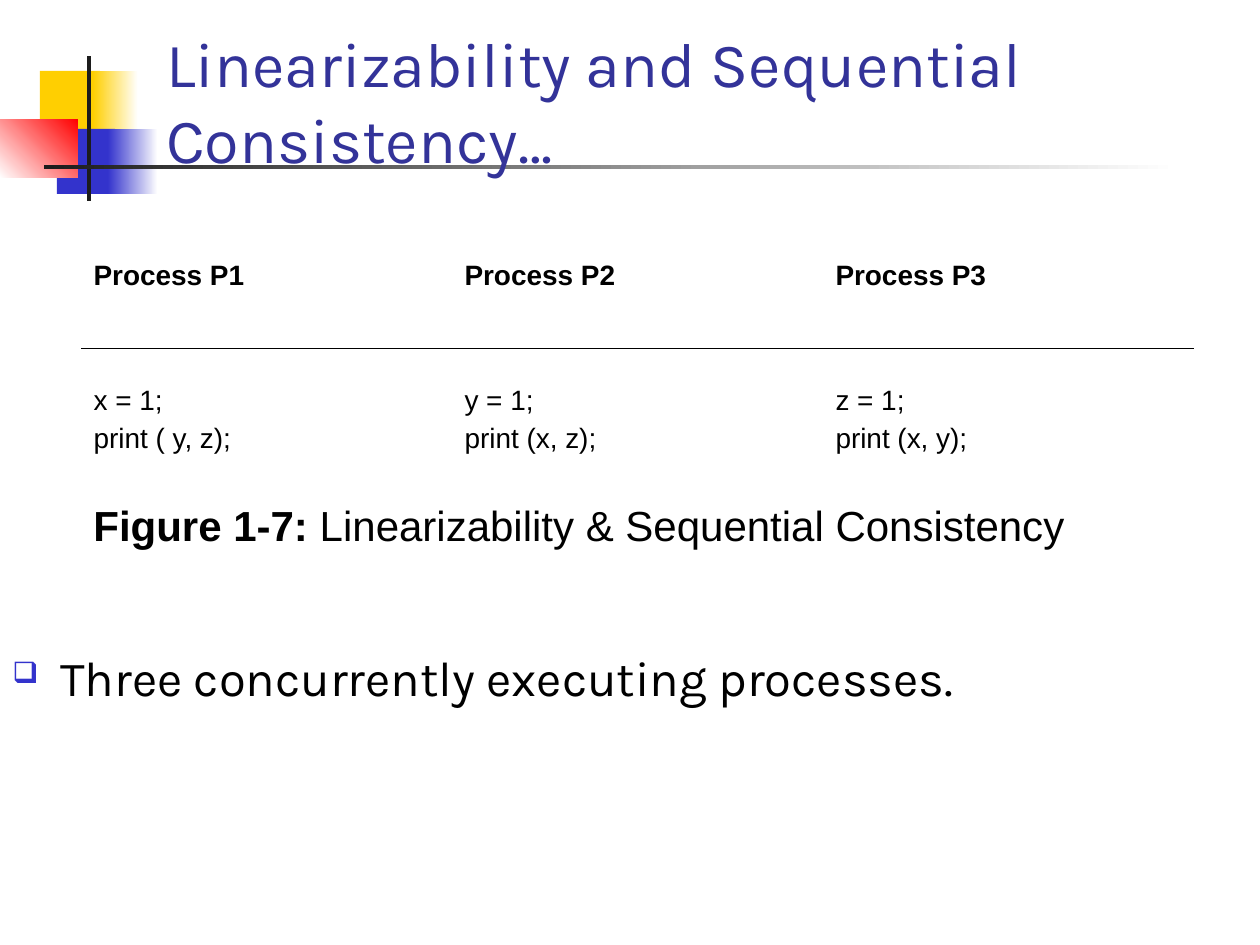
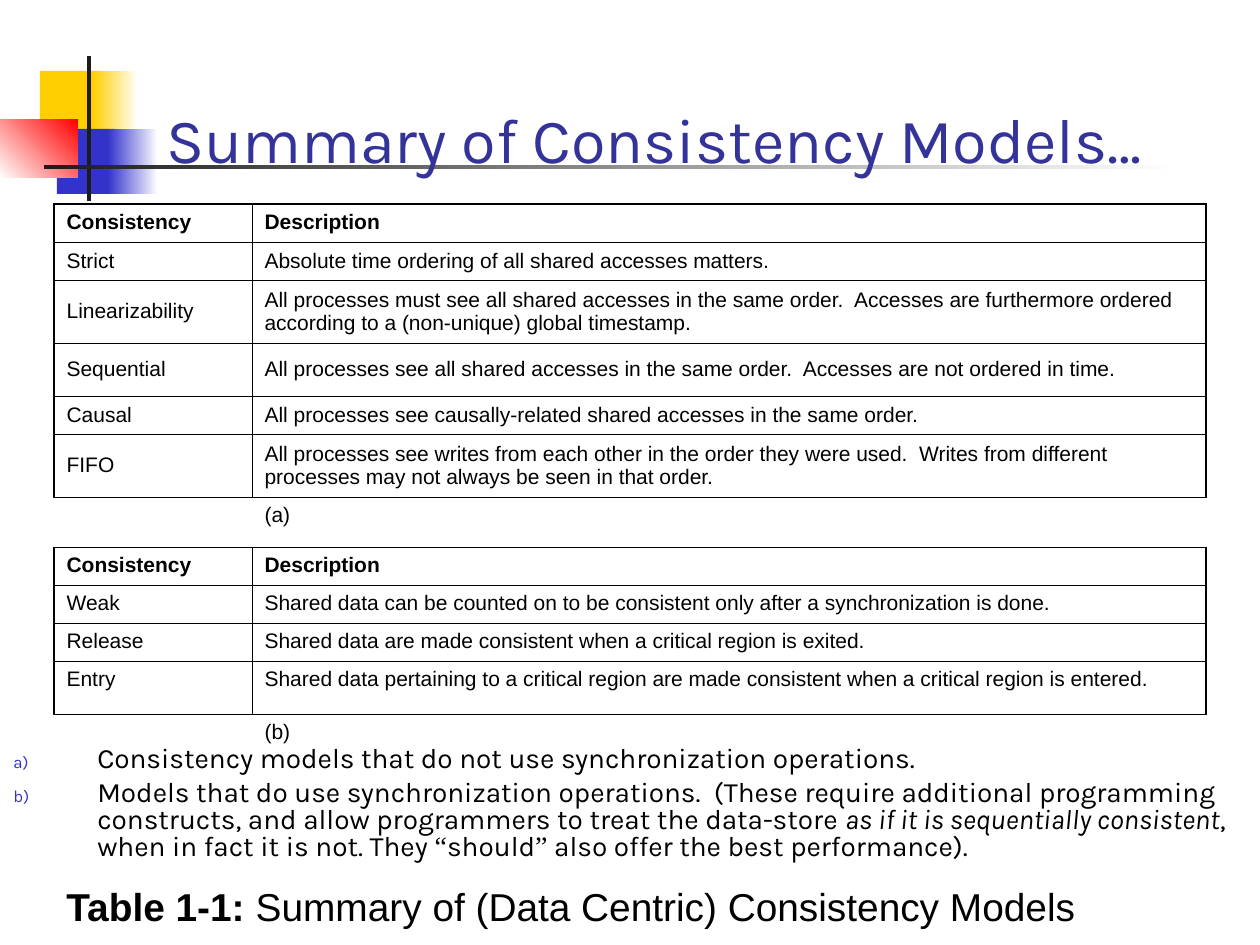
from lxml.etree import SubElement
from pptx import Presentation
from pptx.dml.color import RGBColor
from pptx.enum.shapes import MSO_SHAPE as SHAPE
from pptx.enum.text import MSO_ANCHOR as ANCHOR
from pptx.oxml import parse_xml
from pptx.oxml.ns import nsdecls, qn
from pptx.util import Pt

PX = 914400 / 126
WIDTH, HEIGHT = 1260, 945

BLACK = RGBColor(0, 0, 0)
WHITE = RGBColor(255, 255, 255)
YELLOW = RGBColor(0xFF, 0xCF, 0x01)
BLUE = RGBColor(0x33, 0x33, 0xCC)
RED = RGBColor(0xFF, 0, 0)
INK = RGBColor(0x1C, 0x1C, 0x1C)
TITLE_BLUE = RGBColor(0x33, 0x33, 0x99)

TITLE = dict(name="Karla", size=36, color=TITLE_BLUE)
BODY = dict(name="Karla", size=28, color=BLACK)
NOTE = dict(BODY, size=16)
CODE = dict(name="Arial", size=16, color=BLACK)
CELL = dict(CODE, size=12)
BLANK_CELL = dict(CODE, size=18)
BOLD = dict(bold=True)
QUOTE = dict(name="Times New Roman")

THIN, THICK = 0.45, 1.08
NO_STYLE = "{2D5ABB26-0587-4C30-8999-92F81FD0307C}"

# box in px, colours from start to end, gradient angle
ORNAMENT = [
    ((40, 71, 60, 65), [YELLOW], 0),
    ((93, 71, 45, 65), [YELLOW, WHITE], 0),
    ((57, 129, 58, 65), [BLUE], 0),
    ((108, 129, 50, 65), [BLUE, WHITE], 0),
    ((0, 119, 78, 59), [WHITE, RED], 45),
    ((87, 56, 4, 145), [INK], 0),
    ((44, 165, 1134, 4), [INK, WHITE], 0),
]

PROCESSES = [
    ("Process P1", ["x = 1;", "print ( y, z);"]),
    ("Process P2", ["y = 1;", "print (x, z);"]),
    ("Process P3", ["z = 1;", "print (x, y);"]),
]
FIGURE_CAPTION = [("Figure 1-7:", BOLD),
                  (" Linearizability & Sequential Consistency", {})]
PROCESS_NOTE = [("Three concurrently executing processes.", {})]

HEADER = ("Consistency", "Description", 38)
# each group: caption, anchor, rows of (model, description, height)
MODEL_GROUPS = [
    ("(a)", ANCHOR.MIDDLE, 40, [
        ("Strict", "Absolute time ordering of all shared accesses matters.", 38),
        ("Linearizability", "All processes must see all shared accesses in the same order.  "
         "Accesses are furthermore ordered according to a (non-unique) global timestamp.", 63),
        ("Sequential", "All processes see all shared accesses in the same order.  "
         "Accesses are not ordered in time.", 53),
        ("Causal", "All processes see causally-related shared accesses in the same order.", 38),
        ("FIFO", "All processes see writes from each other in the order they were used.  "
         "Writes from different processes may not always be seen in that order.", 63),
    ]),
    ("(b)", ANCHOR.TOP, 38, [
        ("Weak", "Shared data can be counted on to be consistent only after "
         "a synchronization is done.", 38),
        ("Release", "Shared data are made consistent when a critical region is exited.", 38),
        ("Entry", "Shared data pertaining to a critical region are made consistent "
         "when a critical region is entered.", 53),
    ]),
]
TABLE_CAPTION = [("Table 1-1:", BOLD),
                 (" Summary of (Data Centric) Consistency Models", {})]
MODEL_NOTES = [
    [("Consistency models that do not use synchronization operations.", {})],
    [("Models that do use synchronization operations.  (These require additional "
      "programming constructs, and allow programmers to treat the data-store ", {}),
     ("as if it is sequentially consistent", dict(italic=True)),
     (", when in fact it is not. They ", {}),
     ("“", QUOTE), ("should", {}), ("”", QUOTE),
     (" also offer the best performance).", {})],
]


def px(n):
    return round(n * PX)


def style(font, fmt):
    for key, value in fmt.items():
        if key == "color":
            font.color.rgb = value
        else:
            setattr(font, key, Pt(value) if key == "size" else value)


def set_bullet(p, bullet):
    """Add a small blue bullet; bullet is the tag and attributes of its kind."""
    pPr = p._p.get_or_add_pPr()
    SubElement(SubElement(pPr, qn("a:buClr")), qn("a:srgbClr"), val=str(BLUE))
    SubElement(pPr, qn("a:buSzPct"), val="60000")
    tag, attrs = bullet
    SubElement(pPr, qn(tag), attrs)


def write(tf, paragraphs, fmt, gap=0, indent=0, spacing=None, bullet=None):
    """Fill a text frame with paragraphs, each a list of (text, format changes)."""
    for i, runs in enumerate(paragraphs):
        p = tf.add_paragraph() if i else tf.paragraphs[0]
        if bullet:
            set_bullet(p, bullet)
        if indent:
            pPr = p._p.get_or_add_pPr()
            pPr.set("marL", str(px(indent)))
            pPr.set("indent", str(-px(indent)))
        if i:
            p.space_before = Pt(gap)
        if spacing:
            p.line_spacing = spacing
        for text, changes in runs:
            r = p.add_run()
            r.text = text
            style(r.font, {**fmt, **changes})


def add_text(slide, box, paragraphs, fmt, anchor=ANCHOR.TOP, **layout):
    tf = slide.shapes.add_textbox(*map(px, box)).text_frame
    tf.word_wrap = True
    tf.vertical_anchor = anchor
    write(tf, paragraphs, fmt, **layout)


def add_plain_table(slide, left, top, widths, heights):
    box = left, top, sum(widths), sum(heights)
    frame = slide.shapes.add_table(len(heights), len(widths), *map(px, box))
    table = frame.table
    table.first_row = table.horz_banding = False
    table._tbl.tblPr.find(qn("a:tableStyleId")).text = NO_STYLE
    for column, width in zip(table.columns, widths):
        column.width = px(width)
    for row, height in zip(table.rows, heights):
        row.height = px(height)
    return table


def fill_cell(cell, lines, fmt, anchor, borders):
    """Write lines into a cell; borders maps sides, in L R T B order, to points."""
    cell.fill.background()
    cell.vertical_anchor = anchor
    write(cell.text_frame, [[(line, {})] for line in lines], fmt, gap=4)
    tcPr = cell._tc.get_or_add_tcPr()
    for i, (side, width) in enumerate(borders.items()):
        tcPr.insert(i, parse_xml(
            f'<a:ln{side} {nsdecls("a")} w="{Pt(width)}"><a:solidFill>'
            f'<a:srgbClr val="{BLACK}"/></a:solidFill></a:ln{side}>'))


def size_blank_cell(cell, fmt):
    end = SubElement(cell.text_frame.paragraphs[0]._p, qn("a:endParaRPr"),
                     sz=str(fmt["size"] * 100))
    SubElement(end, qn("a:latin"), typeface=fmt["name"])


def add_slide(prs, title, title_width):
    slide = prs.slides.add_slide(prs.slide_layouts[6])
    for box, colors, angle in ORNAMENT:
        sp = slide.shapes.add_shape(SHAPE.RECTANGLE, *map(px, box))
        sp.shadow.inherit = False
        sp.line.fill.background()
        if len(colors) == 1:
            sp.fill.solid()
            sp.fill.fore_color.rgb = colors[0]
        else:
            sp.fill.gradient()
            sp.fill.gradient_angle = angle
            for stop, color in zip(sp.fill.gradient_stops, colors):
                stop.color.rgb = color
    add_text(slide, (154, 66, title_width, 116), [[(title, {})]], TITLE, ANCHOR.BOTTOM)
    return slide


def add_process_slide(prs):
    slide = add_slide(prs, "Linearizability and Sequential Consistency…", 1091)
    add_text(slide, (0, 641, WIDTH, 116), [PROCESS_NOTE], BODY, indent=48,
             bullet=("a:buChar", {"char": "❑"}))
    table = add_plain_table(slide, 81, 204, [371] * len(PROCESSES), [144] * 2)
    for c, (name, code) in enumerate(PROCESSES):
        fill_cell(table.cell(0, c), [name], {**CODE, **BOLD}, ANCHOR.MIDDLE, {"B": THIN})
        fill_cell(table.cell(1, c), code, CODE, ANCHOR.MIDDLE, {"T": THIN})
    add_text(slide, (81, 493, 1026, 63), [FIGURE_CAPTION], dict(CODE, size=24), indent=84)


def add_model_slide(prs):
    slide = add_slide(prs, "Summary of Consistency Models…", 1074)
    rows = []
    for caption, anchor, caption_height, models in MODEL_GROUPS:
        rows.append((HEADER, {**CELL, **BOLD}, ANCHOR.TOP))
        rows += [(model, CELL, anchor) for model in models]
        rows.append((("", caption, caption_height), CELL, ANCHOR.TOP))

    table = add_plain_table(slide, 54, 204, [198, 954], [row[0][2] for row in rows])
    for r, ((model, description, _), fmt, anchor) in enumerate(rows):
        sides = {"T": THIN if r else THICK}
        if r < len(rows) - 1:
            sides["B"] = THIN
        outer = [{"L": THICK, "R": THIN}, {"L": THIN, "R": THICK}]
        for c, text in enumerate((model, description)):
            borders = {**outer[c], **sides} if model else sides
            fill_cell(table.cell(r, c), [text] if text else [], fmt, anchor, borders)
        if not model:
            size_blank_cell(table.cell(r, 0), BLANK_CELL)

    add_text(slide, (54, 882, 1152, 63), [TABLE_CAPTION], dict(CODE, size=22.2),
             indent=84, spacing=0.9)
    add_text(slide, (1, 741, WIDTH, 159), MODEL_NOTES, NOTE, gap=4, indent=84,
             spacing=0.8, bullet=("a:buAutoNum", {"type": "alphaLcParenR"}))


def main():
    prs = Presentation()
    prs.slide_width, prs.slide_height = px(WIDTH), px(HEIGHT)
    add_process_slide(prs)
    add_model_slide(prs)
    prs.save("out.pptx")


if __name__ == "__main__":
    main()
